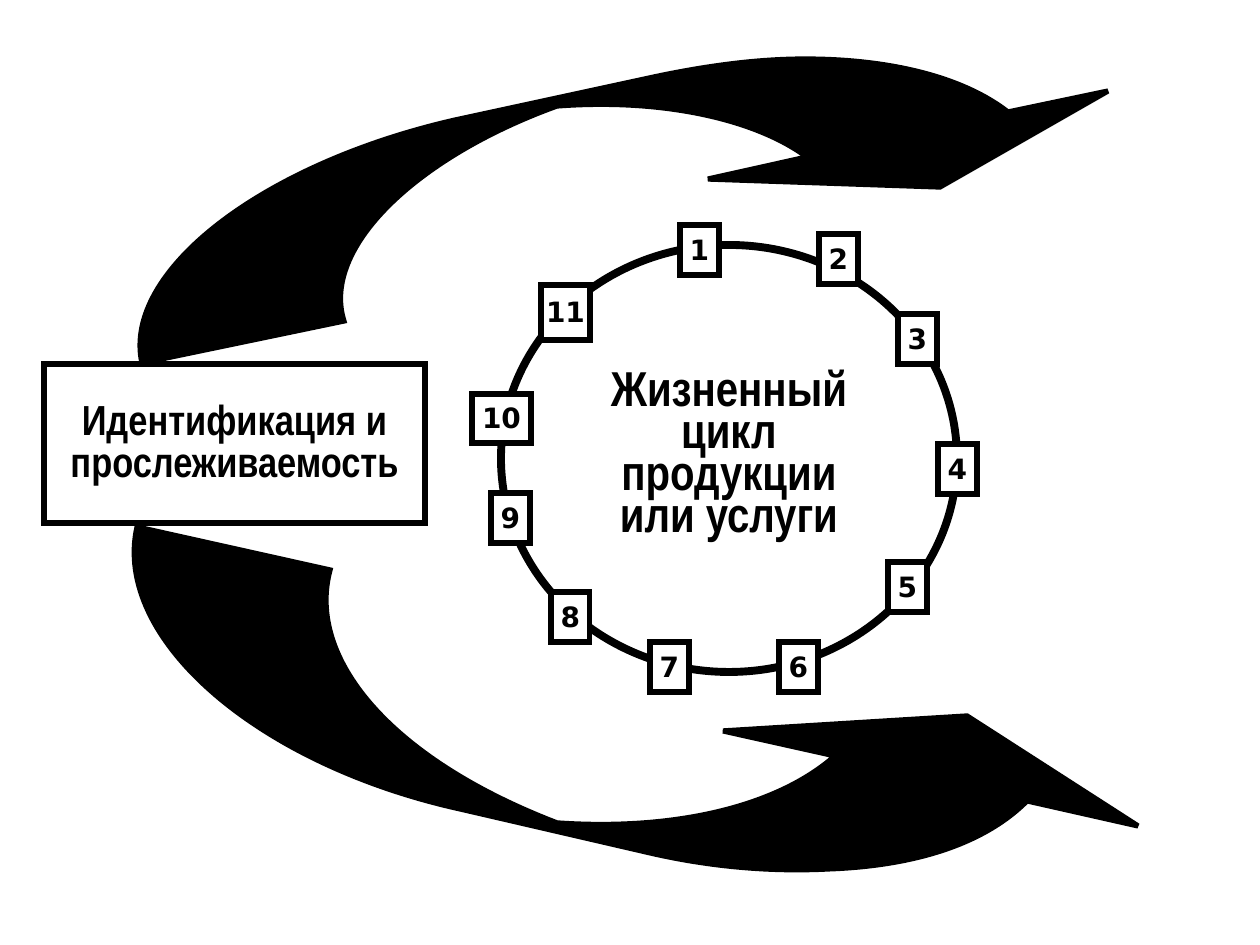
import math

from lxml import etree
from pptx import Presentation
from pptx.dml.color import RGBColor
from pptx.enum import shapes, text
from pptx.oxml import ns
from pptx.util import Pt

PX = 914400 / 126  # EMU in one px
COLORS = {"ink": "000000", "paper": "FFFFFF"}

# Each step of an outline is one point (line) or three points (Bezier curve)
UPPER_ARROW = [
    [(142, 363)],
    [(122, 272), (262, 164), (455, 120)],
    [(654, 77)],
    [(706, 66), (757, 59), (805, 59)],
    [(890, 59), (963, 77), (1008, 112)],
    [(1108, 91)], [(940, 187)], [(708, 179)], [(807, 157)],
    [(756, 119), (662, 98), (557, 106)],
    [(416, 157), (321, 248), (344, 321)],
]
LOWER_ARROW = [
    [(137, 527)],
    [(112, 638), (257, 764), (460, 809)],
    [(650, 853)],
    [(711, 867), (772, 872), (829, 869)],
    [(910, 866), (982, 846), (1027, 801)],
    [(1138, 826)], [(967, 716)], [(723, 731)], [(835, 756)],
    [(776, 808), (672, 831), (557, 823)],
    [(390, 759), (306, 658), (330, 570)],
]

# Stage boxes: left and top relative to the ring, width, height
STAGES = {
    "1": (179, -20, 39, 50), "2": (318, -11, 39, 50), "3": (397, 69, 39, 50),
    "4": (437, 199, 39, 50), "5": (387, 317, 39, 50), "6": (278, 397, 39, 50),
    "7": (149, 397, 39, 50), "8": (50, 347, 39, 50), "9": (-10, 248, 39, 50),
    "10": (-29, 149, 59, 49), "11": (40, 40, 49, 55),
}


def px(value):
    return round(value * PX)


def color(name):
    return RGBColor.from_string(COLORS[name])


def style(shape, line_width, fill=None):
    shape.shadow.inherit = False
    if fill:
        shape.fill.solid()
        shape.fill.fore_color.rgb = color(fill)
    else:
        shape.fill.background()
    shape.line.color.rgb = color("ink")
    shape.line.width = Pt(line_width)
    # Sharp corners
    outline = shape._element.spPr.find(ns.qn("a:ln"))
    etree.SubElement(outline, ns.qn("a:miter"), lim="800000")


def write(shape, wording, font_name, size, spacing, margins):
    frame = shape.text_frame
    frame.text = wording
    frame.word_wrap = True
    frame.vertical_anchor = text.MSO_ANCHOR.MIDDLE
    frame.margin_left = frame.margin_right = px(margins[0])
    frame.margin_top = frame.margin_bottom = px(margins[1])
    for paragraph in frame.paragraphs:
        paragraph.alignment = text.PP_ALIGN.CENTER
        paragraph.line_spacing = Pt(spacing)
        for run in paragraph.runs:
            run.font.name = font_name
            run.font.size = Pt(size)
            run.font.bold = True
            run.font.color.rgb = color("ink")


def add_block(slide, kind, box, line_width, fill=None):
    block = slide.shapes.add_shape(kind, *map(px, box))
    style(block, line_width, fill)
    return block


def upright(point, box, degrees):
    """Undo the rotation about the box centre; measure from the box corner."""
    left, top, width, height = box
    x, y = point[0] - left - width / 2, point[1] - top - height / 2
    cos, sin = math.cos(math.radians(degrees)), math.sin(math.radians(degrees))
    return px(x * cos + y * sin + width / 2), px(y * cos - x * sin + height / 2)


def add_arrow(slide, box, outline, rotation):
    steps = [[upright(point, box, rotation) for point in step] for step in outline]
    corners = [step[-1] for step in steps]
    builder = slide.shapes.build_freeform(*corners[0])
    builder.add_line_segments(corners[1:], close=True)
    arrow = builder.convert_to_shape()
    arrow.left, arrow.top, arrow.width, arrow.height = map(px, box)
    arrow.rotation = rotation
    style(arrow, 3, "ink")

    # Bend the outline with Bezier curves
    path = next(arrow._element.iter(ns.qn("a:path")))
    for child in list(path):
        path.remove(child)
    path.set("w", str(px(box[2])))
    path.set("h", str(px(box[3])))
    for i, step in enumerate(steps):
        tag = "a:moveTo" if i == 0 else "a:lnTo" if len(step) == 1 else "a:cubicBezTo"
        segment = etree.SubElement(path, ns.qn(tag))
        for x, y in step:
            etree.SubElement(segment, ns.qn("a:pt"), x=str(x), y=str(y))
    etree.SubElement(path, ns.qn("a:close"))


def add_traceability(slide, box):
    label = add_block(slide, shapes.MSO_SHAPE.RECTANGLE, box, 3)
    write(label, "Идентификация и прослеживаемость", "Arial Narrow", 24, 24, (13, 6))


def add_life_cycle(slide, box):
    left, top = box[:2]
    # Ring with its caption
    ring = add_block(slide, shapes.MSO_SHAPE.OVAL, box, 4.5)
    write(ring, "Жизненный\nцикл\nпродукции\nили услуги", "Arial Narrow", 28, 24, (0, 6))
    # Numbered stages on the ring
    for number, (dx, dy, width, height) in STAGES.items():
        stage = add_block(slide, shapes.MSO_SHAPE.RECTANGLE,
                          (left + dx, top + dy, width, height), 3, "paper")
        write(stage, number, "DejaVu Sans", 16, 18, (0, 0))


def main():
    deck = Presentation()
    deck.slide_width, deck.slide_height = px(1260), px(945)
    slide = deck.slides.add_slide(deck.slide_layouts[6])
    add_arrow(slide, (112, 86, 1022, 169), UPPER_ARROW, -12.6)
    add_arrow(slide, (102, 644, 1063, 203), LOWER_ARROW, 12.8)
    add_traceability(slide, (44, 364, 381, 159))
    add_life_cycle(slide, (501, 245, 456, 427))
    deck.save("out.pptx")


if __name__ == "__main__":
    main()
